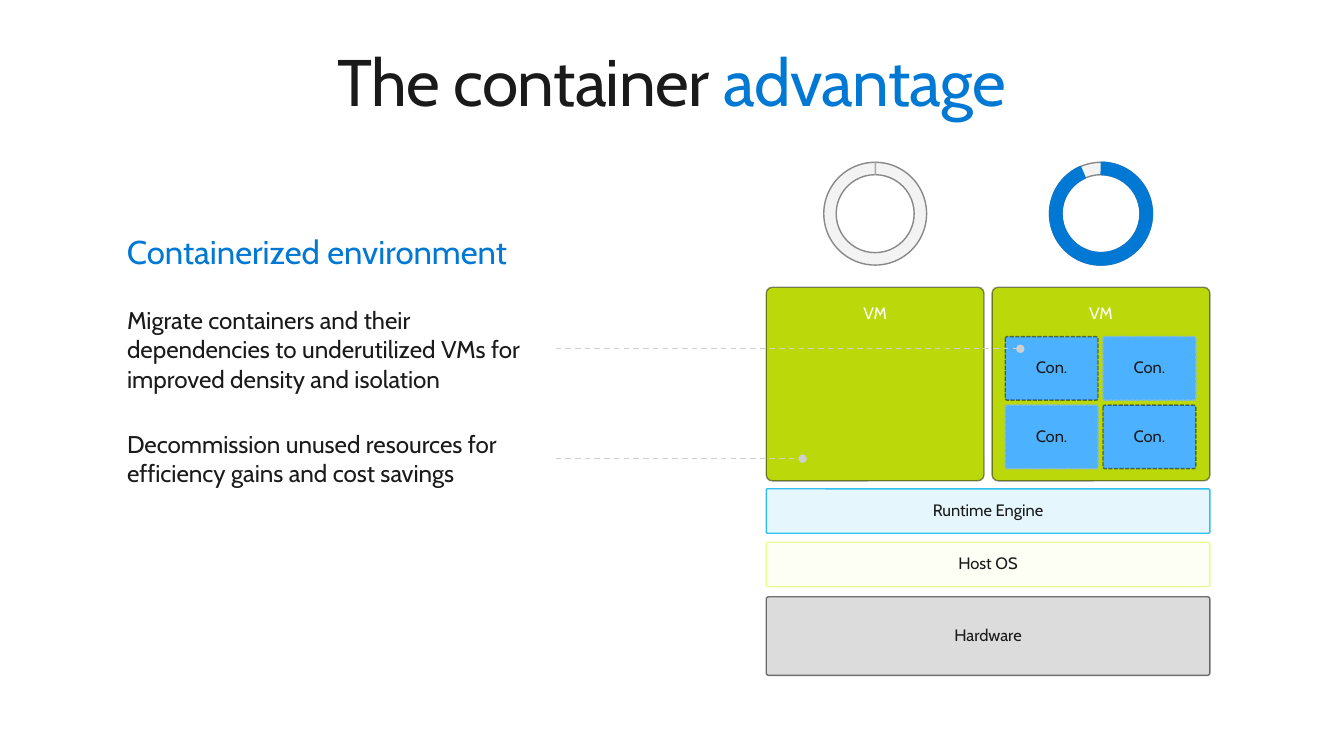
from pptx import Presentation
from pptx.dml.color import RGBColor
from pptx.enum.dml import MSO_LINE_DASH_STYLE as DASH
from pptx.enum.shapes import MSO_CONNECTOR, MSO_SHAPE as SHAPE
from pptx.enum.text import MSO_ANCHOR as ANCHOR, PP_ALIGN as ALIGN
from pptx.oxml.ns import qn
from pptx.util import Inches, Pt
from lxml.etree import SubElement

FONT = "Cabin"
INK, BLUE, WHITE, GREY = "1A1A1A", "0078D4", "FFFFFF", "CFCFCF"
VM_GREEN, CON_BLUE = "BAD80A", "4CB1FF"

TITLE = [("The container ", INK), ("advantage", BLUE)]
# text, box (left, top, width, height), size, colour, anchor
TEXTS = [
    ("Containerized environment", (1.1, 2.14, 5.74, 0.71), 23.5, BLUE, ANCHOR.TOP),
    ("Migrate containers and their dependencies to underutilized VMs for "
     "improved density and isolation", (1.1, 2.86, 4.28, 1.21), 17.3, INK, ANCHOR.MIDDLE),
    ("Decommission unused resources for efficiency gains and cost savings",
     (1.1, 4.09, 4.69, 0.91), 17.3, INK, ANCHOR.MIDDLE),
]
POINTERS = [(3.46, 10.12), (4.55, 7.96)]  # y, right end
POINTER_LEFT = 5.51

# label, top, height, colour, fill opacity, line opacity
LAYERS = [
    ("Hardware", 5.92, 0.78, INK, 15, 60),
    ("Host OS", 5.38, 0.44, "D9F633", 5, 50),
    ("Runtime Engine", 4.85, 0.44, "00B0F0", 10, 80),
]
STACK_LEFT, STACK_W = 7.6, 4.4
VM_TOP, VM_W, VM_H, VM_STEP = 2.85, 2.16, 1.92, 2.24
CON_LEFT, CON_TOP, CON_W, CON_H = 9.97, 3.34, 0.92, 0.63
CON_STEP_X, CON_STEP_Y = 0.97, 0.68
RING_TOP, RING = 1.61, 1.02
# start angle, fill, line of the arc over each VM
GAUGES = [(53.787, "84C2BB", "A7A7A7"), (68.189, BLUE, BLUE)]
ARC_END = 53.831


def rgb(value):
    return RGBColor.from_string(value)


def add_run(p, text, size, color):
    r = p.add_run()
    r.text = text
    r.font.size, r.font.name = Pt(size), FONT
    r.font.color.rgb = rgb(color)
    return r


def set_frame(tf, anchor, x_inset, y_inset):
    tf.word_wrap = True
    tf.vertical_anchor = anchor
    tf.margin_left = tf.margin_right = Inches(x_inset)
    tf.margin_top = tf.margin_bottom = Inches(y_inset)


def add_shape(kind, box, adjust, fill, line, fill_alpha=100, line_alpha=100, dash=DASH.SOLID):
    sp = slide.shapes.add_shape(kind, *map(Inches, box))
    sp.shadow.inherit = False
    for i, value in enumerate(adjust):
        sp.adjustments[i] = value
    sp.fill.solid()
    sp.fill.fore_color.rgb = rgb(fill)
    sp.line.color.rgb = rgb(line)
    sp.line.width = Pt(1)
    sp.line.dash_style = dash
    props = sp._element.spPr
    for route, alpha in (("", fill_alpha), ("a:ln/", line_alpha)):
        if alpha < 100:
            color = props.xpath(route + "a:solidFill/a:srgbClr")[0]
            SubElement(color, qn("a:alpha")).set("val", str(alpha * 1000))
    return sp


def add_block(label, box, fill, line, color=INK, anchor=ANCHOR.MIDDLE, **style):
    """Add a labelled, slightly rounded block."""
    sp = add_shape(SHAPE.ROUNDED_RECTANGLE, box, [0.031], fill, line, **style)
    set_frame(sp.text_frame, anchor, 0.2, 0.16)
    p = sp.text_frame.paragraphs[0]
    p.alignment, p.line_spacing = ALIGN.CENTER, 0.9
    add_run(p, label, 11.8, color)


def add_ring(kind, left, adjust, fill, line, **style):
    sp = add_shape(kind, (left, RING_TOP, RING, RING), adjust, fill, line, **style)
    sp._element.spPr.xfrm.set("flipV", "1")


def add_pointer(y, right):
    """Add a dashed line ending in a dot."""
    line = slide.shapes.add_connector(
        MSO_CONNECTOR.STRAIGHT, Inches(POINTER_LEFT), Inches(y), Inches(right), Inches(y))
    line.line.color.rgb = rgb(GREY)
    line.line.width = Pt(1)
    line.line.dash_style = DASH.DASH
    props = line._element.spPr
    SubElement(props.find(qn("a:ln")), qn("a:tailEnd")).set("type", "oval")
    SubElement(props, qn("a:effectLst"))


prs = Presentation()
prs.slide_width, prs.slide_height = Inches(13.33), Inches(7.5)
slide = prs.slides.add_slide(prs.slide_layouts[5])

title = slide.shapes.title
title.left, title.top, title.width, title.height = map(Inches, (0.29, 0.4, 12.75, 0.79))
set_frame(title.text_frame, ANCHOR.TOP, 0, 0)
p = title.text_frame.paragraphs[0]
p.alignment = ALIGN.CENTER
for text, color in TITLE:
    r = add_run(p, text, 47, color)
    r.font._element.set("spc", "-50")

for label, top, height, color, fill_alpha, line_alpha in LAYERS:
    add_block(label, (STACK_LEFT, top, STACK_W, height), color, color,
              fill_alpha=fill_alpha, line_alpha=line_alpha)

for i, (start, fill, line) in enumerate(GAUGES):
    left = STACK_LEFT + i * VM_STEP
    add_block("VM", (left, VM_TOP, VM_W, VM_H), VM_GREEN, INK, WHITE, ANCHOR.TOP, line_alpha=50)
    ring_left = left + (VM_W - RING) / 2
    add_ring(SHAPE.DONUT, ring_left, [0.121], INK, INK, fill_alpha=5, line_alpha=50)
    add_ring(SHAPE.BLOCK_ARC, ring_left, [start, ARC_END, 0.12], fill, line)

for row in range(2):
    for col in range(2):
        line, alpha = ("0D0D0D", 50) if row == col else ("7FB8E2", 100)
        box = (CON_LEFT + col * CON_STEP_X, CON_TOP + row * CON_STEP_Y, CON_W, CON_H)
        add_block("Con.", box, CON_BLUE, line, line_alpha=alpha, dash=DASH.SQUARE_DOT)

for text, box, size, color, anchor in TEXTS:
    tf = slide.shapes.add_textbox(*map(Inches, box)).text_frame
    set_frame(tf, anchor, 0.16, 0.16)
    add_run(tf.paragraphs[0], text, size, color)

for y, right in POINTERS:
    add_pointer(y, right)

prs.save("out.pptx")
